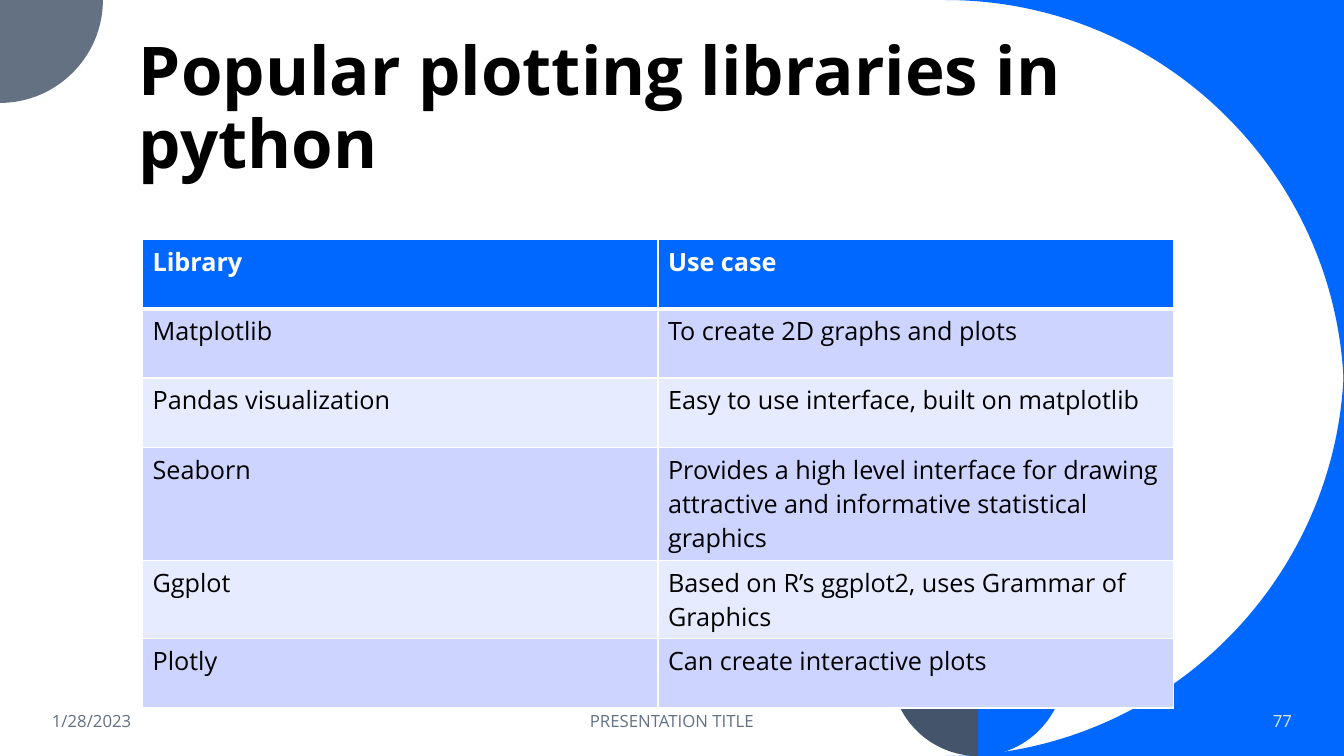
from lxml.etree import SubElement
from pptx import Presentation
from pptx.dml.color import RGBColor
from pptx.enum.text import MSO_ANCHOR as Anchor, MSO_AUTO_SIZE as AutoSize, PP_ALIGN as Align
from pptx.oxml.ns import qn
from pptx.util import Pt

BLUE, SLATE, GREY, WHITE, BLACK = "0068FF", "44546A", "637183", "FFFFFF", "000000"
BANDS = ["CCD4FF", "E7EBFF"]


def paint(target, colour):
    """Give a fill or a font a solid colour."""
    if hasattr(target, "solid"):
        target.solid()
        target.fore_color.rgb = RGBColor.from_string(colour)
    else:
        target.color.rgb = RGBColor.from_string(colour)


def write(para, text, size, colour, bold=False):
    span = para.add_run()
    span.text = text
    span.font.name = "Open Sans"
    span.font.size = Pt(size)
    span.font.bold = bold
    paint(span.font, colour)


deck = Presentation()
deck.slide_width, deck.slide_height = Pt(960), Pt(540)
page = deck.slides.add_slide(deck.slide_layouts[5])

# Round decorations: colour, start, then moves; a move is a line to one point,
# or a quarter circle given by the corner it bends towards and its end
decorations = [
    (BLUE, (960, 0), [[(675.5, 0)], [(960, 0), (960, 284.5)]]),
    (BLUE, (960, 255.5), [[(960, 540), (675.5, 540)], [(960, 540)]]),
    (GREY, (0, 0), [[(73.5, 0)], [(73.5, 73.5), (0, 73.5)]]),
]
for colour, side in [(BLUE, 760.4), (SLATE, 636.4)]:
    decorations.append((colour, (side, 440), [
        [(side, 478)], [(side, 540), (698.4, 540)],
        [(698.4, 502)], [(698.4, 440), (side, 440)],
    ]))
BEND = 0.55  # how far the handles of a quarter circle reach to its corner
for colour, start, moves in decorations:
    points, curves = [start], []
    for move in moves:
        end = move[-1]
        if len(move) == 2:
            curves.append(len(points) - 1)
            begin, corner = points[-1], move[0]
            for anchor in (begin, end):
                points.append([a + BEND * (c - a) for a, c in zip(anchor, corner)])
        points.append(end)
    outline = page.shapes.build_freeform(Pt(start[0]), Pt(start[1]), scale=1.0)
    outline.add_line_segments([(Pt(x), Pt(y)) for x, y in points[1:]], close=True)
    shape = outline.convert_to_shape()
    # Join the three lines of each quarter circle into one curve
    lines = list(shape.element.iter(qn("a:lnTo")))
    for first in curves:
        curve = SubElement(lines[first].getparent(), qn("a:cubicBezTo"))
        lines[first].addprevious(curve)
        for line in lines[first:first + 3]:
            curve.append(line[0])
            line.getparent().remove(line)
    shape.shadow.inherit = False
    paint(shape.fill, colour)
    shape.line.fill.background()

# Title
title = page.shapes.title
title.left, title.top, title.width, title.height = Pt(92), Pt(30), Pt(770), Pt(104.3)
frame = title.text_frame
frame.auto_size = AutoSize.NONE
frame.word_wrap = True
frame.vertical_anchor = Anchor.BOTTOM
para = frame.paragraphs[0]
para.alignment = Align.LEFT
para.line_spacing = 0.9
write(para, "Popular plotting libraries in python", 48, BLACK, bold=True)

# Table of libraries
libraries = [
    ("Library", "Use case"),
    ("Matplotlib", "To create 2D graphs and plots"),
    ("Pandas visualization", "Easy to use interface, built on matplotlib"),
    ("Seaborn", "Provides a high level interface for drawing attractive "
                "and informative statistical graphics"),
    ("Ggplot", "Based on R’s ggplot2, uses Grammar of Graphics"),
    ("Plotly", "Can create interactive plots"),
]
table = page.shapes.add_table(len(libraries), 2, Pt(101.8), Pt(171.3),
                              Pt(736.4), Pt(49.4 * len(libraries))).table
for row, texts in enumerate(libraries):
    table.rows[row].height = Pt(49.4)
    header = row == 0
    for column, text in enumerate(texts):
        cell = table.cell(row, column)
        write(cell.text_frame.paragraphs[0], text, 18, WHITE if header else BLACK, header)
        # Borders go before the fill in the cell properties
        properties = cell._tc.get_or_add_tcPr()
        for side in ("lnL", "lnR", "lnT", "lnB"):
            thick = (header and side == "lnB") or (row == 1 and side == "lnT")
            border = SubElement(properties, qn("a:" + side), w=str(Pt(3 if thick else 1)))
            solid = SubElement(border, qn("a:solidFill"))
            SubElement(solid, qn("a:srgbClr"), val=WHITE)
        paint(cell.fill, BLUE if header else BANDS[(row - 1) % 2])

# Footer
footer = [
    ("1/28/2023", 30, 216, Align.LEFT, GREY),
    ("PRESENTATION TITLE", 318, 324, Align.CENTER, GREY),
    ("77", 799.5, 130.5, Align.RIGHT, "DAE5EF"),
]
for text, left, width, alignment, colour in footer:
    box = page.shapes.add_textbox(Pt(left), Pt(500.5), Pt(width), Pt(28.8))
    box.text_frame.word_wrap = True
    box.text_frame.vertical_anchor = Anchor.MIDDLE
    para = box.text_frame.paragraphs[0]
    para.alignment = alignment
    write(para, text, 12, colour)

deck.save("out.pptx")
